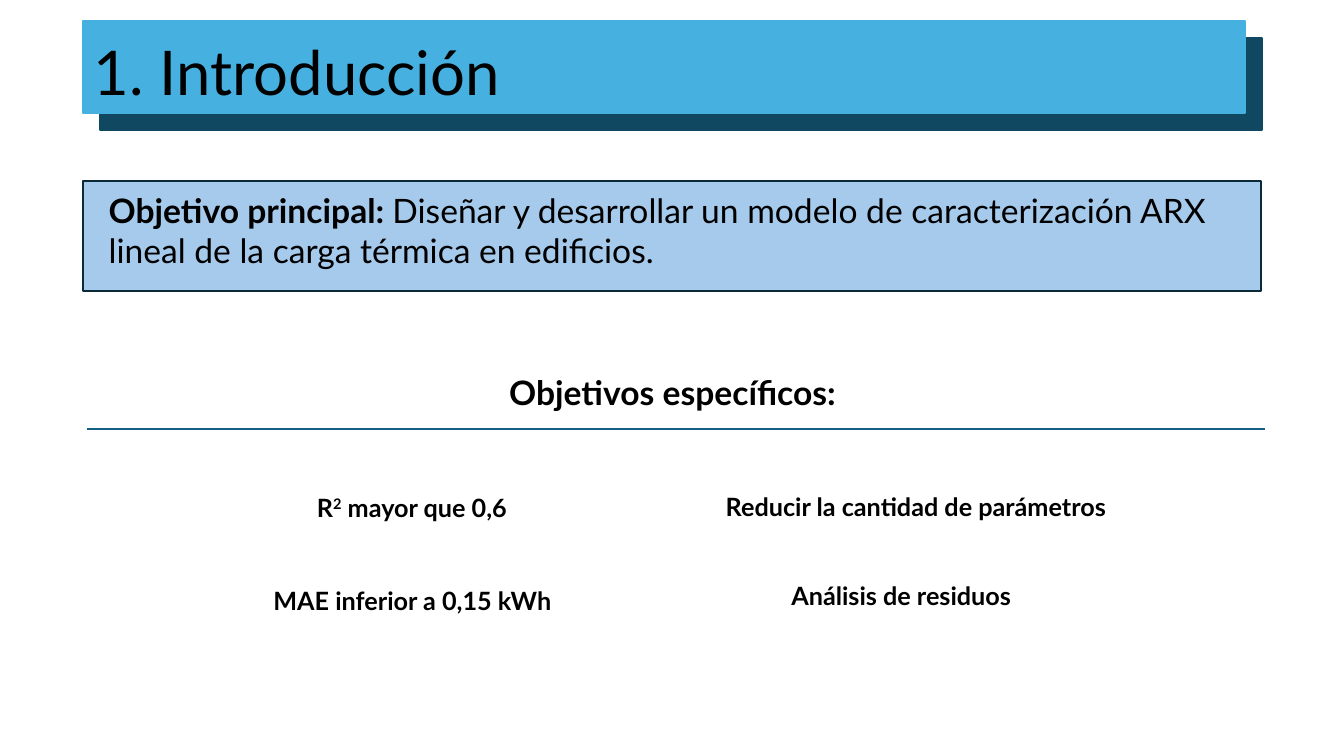
from dataclasses import dataclass

from pptx import Presentation
from pptx.dml.color import RGBColor
from pptx.enum.shapes import MSO_CONNECTOR, MSO_SHAPE
from pptx.enum.text import MSO_ANCHOR, MSO_AUTO_SIZE, PP_ALIGN
from pptx.oxml.ns import qn
from pptx.util import Pt
from lxml import etree

PX = 9144  # EMU per px, 100 px to the inch
TITLE_ONLY = 5
RECT = MSO_SHAPE.RECTANGLE
STRAIGHT = MSO_CONNECTOR.STRAIGHT
MIDDLE = MSO_ANCHOR.MIDDLE
NO_FIT = MSO_AUTO_SIZE.NONE
LEFT, CENTER = PP_ALIGN.LEFT, PP_ALIGN.CENTER


@dataclass(frozen=True)
class Theme:
    font: str = "Lato"
    text: str = "000000"
    banner: str = "46B1E1"
    banner_shade: str = "104862"
    goal_fill: str = "A6CAEC"
    goal_line: str = "092A39"
    rule: str = "156082"
    title_size: int = 44
    lead_size: int = 24
    item_size: int = 18
    line_width: float = 1.5


THEME = Theme()


def px(*lengths):
    return [n * PX for n in lengths]


def style_line(line, color):
    line.color.rgb = RGBColor.from_string(color)
    line.width = Pt(THEME.line_width)


def style_text(p, size, align):
    p.alignment = align
    p.font.name = THEME.font
    p.font.size = Pt(size)
    p.font.color.rgb = RGBColor.from_string(THEME.text)


def add_rect(slide, box, fill, line):
    sp = slide.shapes.add_shape(RECT, *px(*box))
    sp.shadow.inherit = False
    sp.fill.solid()
    sp.fill.fore_color.rgb = RGBColor.from_string(fill)
    style_line(sp.line, line)
    return sp


def add_text(slide, box, runs, size, align=LEFT):
    """Add one paragraph of (text, bold, superscript) runs."""
    tf = slide.shapes.add_textbox(*px(*box)).text_frame
    tf.word_wrap = True
    p = tf.paragraphs[0]
    style_text(p, size, align)
    for text, bold, superscript in runs:
        r = p.add_run()
        r.text = text
        r.font.bold = bold
        if superscript:
            r._r.get_or_add_rPr().set("baseline", "30000")


def add_banner(slide, box, title):
    x, y, w, h = box
    offset = 17
    add_rect(slide, (x + offset, y + offset, w, h), THEME.banner_shade, THEME.banner_shade)
    front = add_rect(slide, box, THEME.banner, THEME.banner)

    sp = slide.shapes.title
    front.element.addnext(sp.element)
    sp.left, sp.top, sp.width, sp.height = px(x + 1, y - 19, 467, 145)
    tf = sp.text_frame
    tf.text = title
    tf.word_wrap = True
    tf.auto_size = NO_FIT
    tf.vertical_anchor = MIDDLE
    p = tf.paragraphs[0]
    p.line_spacing = 0.9
    style_text(p, THEME.title_size, LEFT)


def add_main_goal(slide, box, label, goal):
    x, y, w, h = box
    add_rect(slide, box, THEME.goal_fill, THEME.goal_line)
    runs = [(label, True, False), (goal, False, False)]
    add_text(slide, (x + 16, y + 3, w - 25, h - 18), runs, THEME.lead_size)


def add_specific_goals(slide, box, heading, goals):
    """Place a ruled heading and, below it, goals given as (box, align, runs)."""
    x, y, w, h = box
    add_text(slide, (x + 382, y, 398, 50), [(heading, True, False)], THEME.lead_size, CENTER)

    rule_y = y + 62
    rule = slide.shapes.add_connector(STRAIGHT, *px(x, rule_y, x + w, rule_y))
    style_line(rule.line, THEME.rule)
    etree.SubElement(rule._element.spPr, qn("a:effectLst"))

    for (dx, dy, gw, gh), align, runs in goals:
        add_text(slide, (x + dx, y + dy, gw, gh), runs, THEME.item_size, align)


def main():
    prs = Presentation()
    prs.slide_width, prs.slide_height = px(1333, 750)
    slide = prs.slides.add_slide(prs.slide_layouts[TITLE_ONLY])

    add_banner(slide, (82, 21, 1153, 91), "1. Introducción")
    add_main_goal(
        slide, (82, 180, 1169, 109), "Objetivo principal: ",
        "Diseñar y desarrollar un modelo de caracterización ARX lineal "
        "de la carga térmica en edificios.",
    )
    goals = [
        ((689, 207, 312, 40), LEFT, [("Análisis de residuos", True, False)]),
        ((203, 119, 239, 71), CENTER,
         [("R", True, False), ("2", True, True), (" mayor que 0,6", True, False)]),
        ((173, 212, 300, 71), CENTER, [("MAE inferior a 0,15 kWh", True, False)]),
        ((624, 119, 457, 40), LEFT, [("Reducir la cantidad de parámetros", True, False)]),
    ]
    add_specific_goals(slide, (86, 364, 1169, 283), "Objetivos específicos:", goals)
    prs.save("out.pptx")


if __name__ == "__main__":
    main()
